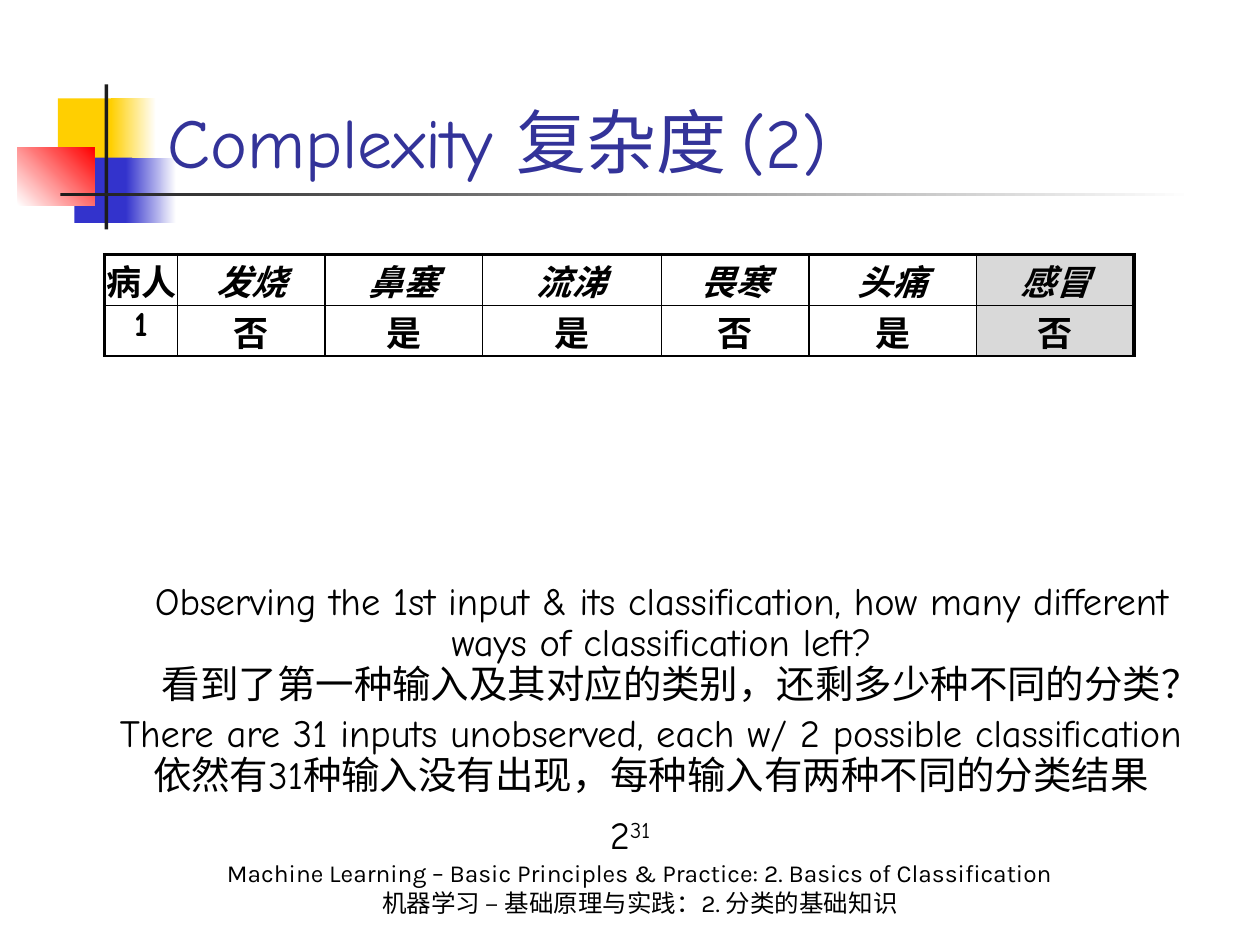
from pptx import Presentation
from pptx.util import Inches, Pt
from pptx.dml.color import RGBColor as RGB
from pptx.enum.shapes import MSO_SHAPE as Shape
from pptx.enum.text import MSO_ANCHOR as Anchor, MSO_AUTO_SIZE as Auto, PP_ALIGN as Align
from pptx.oxml.ns import qn
from lxml.etree import SubElement

COLORS = {"gold": "FFCF01", "blue": "3333CC", "red": "FF0000", "dark": "1C1C1C",
          "white": "FFFFFF", "black": "000000", "navy": "333399", "gray": "D9D9D9"}
COMIC, KARLA, TIMES = "Comic Neue", "Karla", "Times New Roman"

DECOR = [
    ((0.46, 0.78, 0.48, 0.52), ["gold"], 0),
    ((0.88, 0.78, 0.36, 0.52), ["gold", "white"], 0),
    ((0.59, 1.25, 0.46, 0.52), ["blue"], 0),
    ((1, 1.25, 0.4, 0.52), ["blue", "white"], 0),
    ((0.14, 1.17, 0.61, 0.46), ["white", "red"], 45),
    ((0.83, 0.67, 0.03, 1.15), ["dark"], 0),
    ((0.48, 1.53, 9, 0.03), ["dark", "white"], 0),
]
ROWS = [["病人", "发烧", "鼻塞", "流涕", "畏寒", "头痛", "感冒"],
        ["1", "否", "是", "是", "否", "是", "否"]]
COLS = [0.58, 1.17, 1.25, 1.42, 1.17, 1.33, 1.25]
TABLE = (0.83, 2.02, sum(COLS), 0.8)

TITLE = ["Complexity 复杂度 (2)"]
ASK = ["Observing the 1st input & its classification, how many different ways of classification left?",
       "看到了第一种输入及其对应的类别，还剩多少种不同的分类？"]
REPLY = ["There are 31 inputs unobserved, each w/ 2 possible classification",
         "依然有31种输入没有出现，每种输入有两种不同的分类结果"]
FOOTER = ["Machine Learning – Basic Principles & Practice: 2. Basics of Classification",
          "机器学习 – 基础原理与实践：2. 分类的基础知识"]


def color(name):
    return RGB.from_string(COLORS[name])


def inch(box):
    return [Inches(v) for v in box]


def style(run, size, face, tint="black"):
    run.font.size = Pt(size)
    run.font.name = face
    run.font.color.rgb = color(tint)


def add_block(slide, box, tints, angle):
    block = slide.shapes.add_shape(Shape.RECTANGLE, *inch(box))
    block.shadow.inherit = False
    block.line.fill.background()
    if len(tints) == 1:
        block.fill.solid()
        block.fill.fore_color.rgb = color(tints[0])
        return
    block.fill.gradient()
    block.fill.gradient_angle = angle
    for stop, tint in zip(block.fill.gradient_stops, tints):
        stop.color.rgb = color(tint)


def add_text(slide, box, lines, size, face, tint="black", align=Align.CENTER,
             anchor=Anchor.TOP, grow=False, indent=False):
    frame = slide.shapes.add_textbox(*inch(box)).text_frame
    frame.word_wrap = True
    frame.vertical_anchor = anchor
    frame.auto_size = Auto.SHAPE_TO_FIT_TEXT if grow else Auto.NONE
    frame.text = "\n".join(lines)
    for para in frame.paragraphs:
        para.alignment = align
        if indent:
            para.level = 1
            para.line_spacing = 0.9
            props = para._p.get_or_add_pPr()
            props.set("marL", str(Inches(0.5)))
            props.set("indent", "0")
        for run in para.runs:
            style(run, size, face, tint)
    return frame


def add_edges(cell, edges):
    props = cell._tc.get_or_add_tcPr()
    for spot, (side, width) in enumerate(edges.items()):
        line = SubElement(props, qn(f"a:ln{side}"), w=str(Pt(width)))
        fill = SubElement(line, qn("a:solidFill"))
        SubElement(fill, qn("a:srgbClr"), val=COLORS["black"])
        props.insert(spot, line)


def add_grid(slide):
    grid = slide.shapes.add_table(len(ROWS), len(COLS), *inch(TABLE)).table
    grid.first_row = grid.horz_banding = False
    last = len(COLS) - 1
    for col, width in zip(grid.columns, COLS):
        col.width = Inches(width)
    for r, row in enumerate(ROWS):
        for c, word in enumerate(row):
            cell = grid.cell(r, c)
            cell.margin_left = cell.margin_right = cell.margin_top = cell.margin_bottom = 0
            cell.fill.solid()
            cell.fill.fore_color.rgb = color("gray" if c == last else "white")
            cell.text_frame.text = word
            para = cell.text_frame.paragraphs[0]
            para.alignment = Align.CENTER
            run = para.runs[0]
            style(run, 20, TIMES if c else COMIC)
            run.font.bold = True
            run.font.italic = r == 0 and c > 0
            add_edges(cell, {"L": 1 if c else 2.25, "R": 2.25 if c == last else 1,
                             "T": 1 if r else 2.25, "B": 1})


def main():
    deck = Presentation()
    deck.slide_width, deck.slide_height = Inches(10), Inches(7.5)
    slide = deck.slides.add_slide(deck.slide_layouts[6])
    for box, tints, angle in DECOR:
        add_block(slide, box, tints, angle)
    add_text(slide, (1.23, 0.5, 8.52, 1), TITLE, 40, COMIC, "navy", Align.LEFT, Anchor.BOTTOM)
    add_grid(slide)
    add_text(slide, (0.54, 4.57, 8.92, 1.1), ASK, 22, COMIC, grow=True, indent=True)
    add_text(slide, (0.83, 6.83, 8.5, 0.5), FOOTER, 14, KARLA, anchor=Anchor.BOTTOM)
    power = add_text(slide, (0.59, 6.39, 8.82, 0.47), ["2"], 22, COMIC, grow=True)
    run = power.paragraphs[0].add_run()
    run.text = "31"
    style(run, 22, COMIC)
    run.font._element.set("baseline", "30000")
    add_text(slide, (-0.23, 5.62, 10.29, 0.77), REPLY, 22, COMIC, grow=True, indent=True)
    deck.save("out.pptx")


if __name__ == "__main__":
    main()
